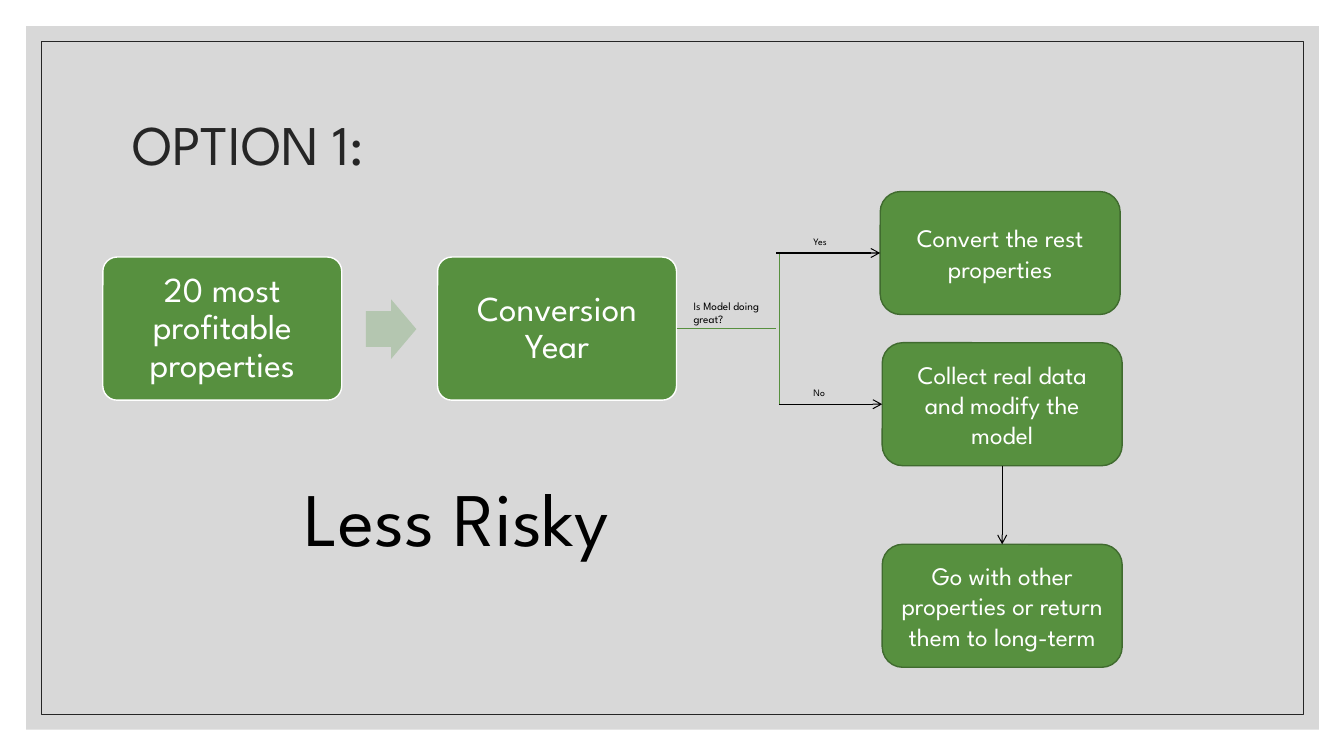
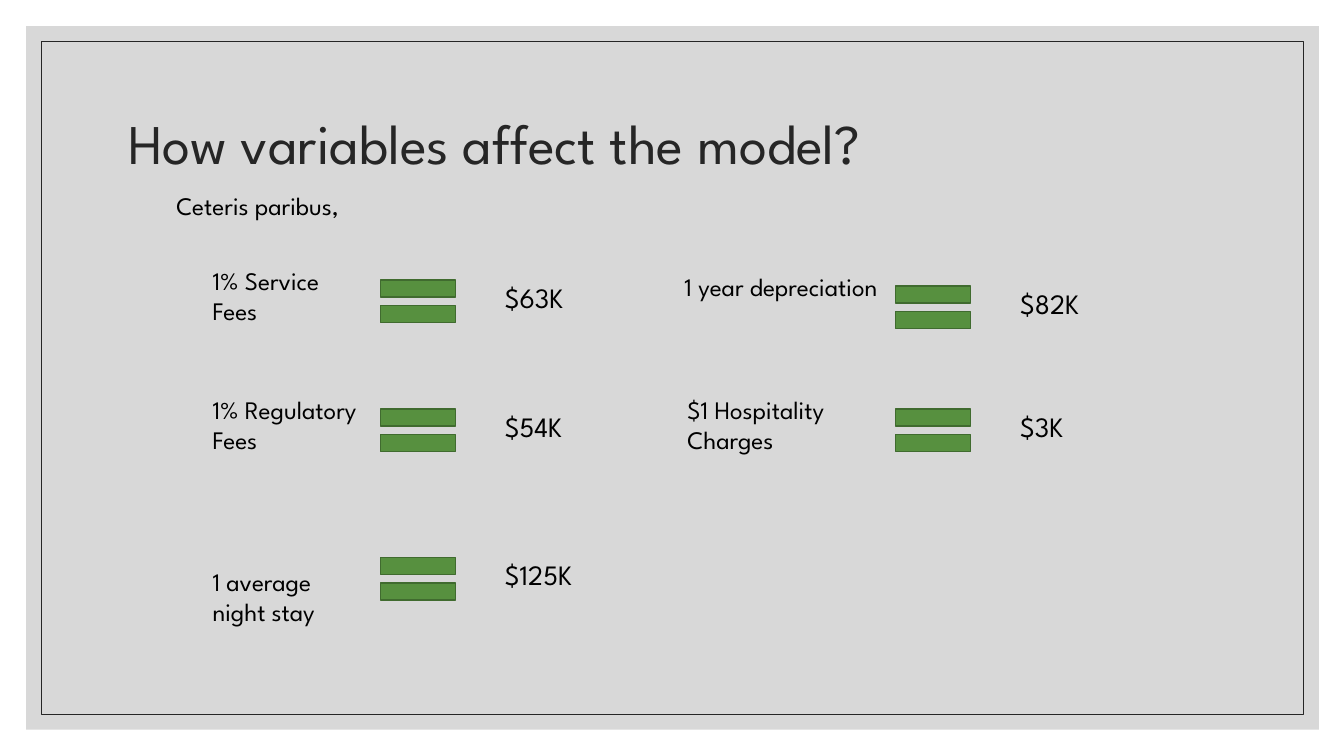
from lxml import etree
from pptx import Presentation
from pptx.dml.color import RGBColor
from pptx.enum.shapes import MSO_CONNECTOR, MSO_SHAPE
from pptx.enum.text import MSO_ANCHOR, MSO_AUTO_SIZE, PP_ALIGN
from pptx.oxml.ns import qn
from pptx.util import Inches, Pt

RECT, ROUNDED = MSO_SHAPE.RECTANGLE, MSO_SHAPE.ROUNDED_RECTANGLE
ARROW, EQUALS = MSO_SHAPE.RIGHT_ARROW, MSO_SHAPE.MATH_EQUAL
LEFT, CENTER = PP_ALIGN.LEFT, PP_ALIGN.CENTER
TOP, MIDDLE = MSO_ANCHOR.TOP, MSO_ANCHOR.MIDDLE
SIDE_LEFT, SIDE_TOP, SIDE_RIGHT, SIDE_BOTTOM = 1, 0, 3, 2

FONT = "League Spartan"
COLORS = {
    "panel": "BFBFBF", "ink": "262626", "green": "57903F", "dark_green": "406B2F",
    "pale_green": "B4C6B0", "white": "FFFFFF", "black": "000000",
}

OPTION_TITLE = "OPTION 1:"
STEPS = ["20 most profitable properties", "Conversion Year"]
OUTCOMES = [  # text, left, top
    ("Convert the rest properties", 8.73, 1.9),
    ("Collect real data and modify the model", 8.75, 3.4),
    ("Go with other properties or return them to long-term", 8.75, 5.4),
]
QUESTION = "Is Model doing great?"
ANSWERS = [("Yes", 2.29), ("No", 3.79)]
VERDICT = "Less Risky"

VARIABLES_TITLE = "How variables affect the model?"
CONDITION = "Ceteris paribus,"
EFFECTS = [  # variable, label (left, top, width), equals sign (left, top), effect
    ("1% Service Fees", (2.01, 2.58, 1.72), (3.64, 2.63), "$63K"),
    ("1% Regulatory Fees", (2.01, 3.86, 1.72), (3.64, 3.91), "$54K"),
    ("1 average night stay", (2.01, 5.57, 1.72), (3.64, 5.38), "$125K"),
    ("1 year depreciation", (6.69, 2.64, 2.15), (8.75, 2.69), "$82K"),
    ("$1 Hospitality Charges", (6.72, 3.86, 1.72), (8.75, 3.91), "$3K"),
]


def rgb(name):
    return RGBColor.from_string(COLORS[name])


def write(shape, text, size, color="black", align=LEFT, anchor=TOP, spacing=None,
          wrap=True, inset=None):
    frame = shape.text_frame
    frame.word_wrap = wrap
    frame.auto_size = MSO_AUTO_SIZE.NONE
    frame.vertical_anchor = anchor
    if inset is not None:
        frame.margin_left = frame.margin_right = Inches(inset)
        frame.margin_top = frame.margin_bottom = Inches(inset)
    paragraph = frame.paragraphs[0]
    paragraph.alignment = align
    paragraph.line_spacing = spacing
    run = paragraph.add_run()
    run.text = text
    run.font.name = FONT
    run.font.size = Pt(size)
    run.font.color.rgb = rgb(color)


def add_label(slide, box, text, size, **style):
    label = slide.shapes.add_textbox(*map(Inches, box))
    write(label, text, size, **style)


def add_block(slide, kind, box, fill="green", line="dark_green", line_width=1):
    block = slide.shapes.add_shape(kind, *map(Inches, box))
    block.shadow.inherit = False
    if fill:
        block.fill.solid()
        block.fill.fore_color.rgb = rgb(fill)
    else:
        block.fill.background()
    if line:
        block.line.color.rgb = rgb(line)
        block.line.width = Pt(line_width)
    else:
        block.line.fill.background()
    return block


def add_line(slide, start, end, color="black", width=0.75, arrow=False,
             source=None, target=None):
    """Draw a line; source and target are (shape, side) pairs to join."""
    line = slide.shapes.add_connector(MSO_CONNECTOR.STRAIGHT, *map(Inches, start + end))
    if source:
        line.begin_connect(*source)
    if target:
        line.end_connect(*target)
    line.line.color.rgb = rgb(color)
    line.line.width = Pt(width)
    properties = line.element.spPr
    if arrow:
        etree.SubElement(properties.find(qn("a:ln")), qn("a:tailEnd"), type="arrow")
    etree.SubElement(properties, qn("a:effectLst"))


def move_frame_to_layout(slide):
    """Put the grey panel and its inner border on the layout all slides share."""
    panel = add_block(slide, RECT, (0.26, 0.26, 12.82, 6.98), "panel", None)
    color = panel.element.spPr.find(qn("a:solidFill")).find(qn("a:srgbClr"))
    etree.SubElement(color, qn("a:alpha"), val="60000")
    border = add_block(slide, RECT, (0.41, 0.41, 12.52, 6.68), None, "ink", 0.5)
    tree = slide.slide_layout.shapes.element
    for index, part in enumerate((panel, border), 2):
        tree.insert(index, part.element)


def add_titled_slide(deck, text, left, top):
    slide = deck.slides.add_slide(deck.slide_layouts[5])
    title = slide.shapes.title
    title.left, title.top = Inches(left), Inches(top)
    title.width, title.height = Inches(11), Inches(1.5)
    write(title, text, 40, color="ink", anchor=MIDDLE, spacing=0.9)
    return slide


def build_option(slide):
    steps = []
    for index, text in enumerate(STEPS):
        step = add_block(slide, ROUNDED, (1.02 + 3.32 * index, 2.55, 2.37, 1.42),
                         line="white")
        step.adjustments[0] = 0.1
        write(step, text, 25, color="white", align=CENTER, anchor=MIDDLE,
              spacing=0.9, inset=0.1)
        steps.append(step)
    arrow = add_block(slide, ARROW, (3.63, 2.97, 0.5, 0.59), "pale_green", None)
    arrow.adjustments[0] = 0.6

    outcomes = []
    for text, left, top in OUTCOMES:
        outcome = add_block(slide, ROUNDED, (left, top, 2.38, 1.22))
        write(outcome, text, 18, color="white", align=CENTER, anchor=MIDDLE)
        outcomes.append(outcome)
    convert, collect, fallback = outcomes

    branch = {"color": "green", "width": 0.5}
    add_line(slide, (6.71, 3.26), (7.7, 3.26), source=(steps[-1], SIDE_RIGHT), **branch)
    for end in (2.51, 4.01):
        add_line(slide, (7.73, 3.26), (7.73, end), **branch)
    add_line(slide, (7.7, 2.51), (8.73, 2.51), arrow=True, target=(convert, SIDE_LEFT))
    add_line(slide, (7.73, 4.01), (8.75, 4.01), arrow=True, target=(collect, SIDE_LEFT))
    add_line(slide, (9.94, 4.62), (9.94, 5.4), arrow=True,
             source=(collect, SIDE_BOTTOM), target=(fallback, SIDE_TOP))

    add_label(slide, (6.78, 2.92, 0.99, 0.37), QUESTION, 8)
    for text, top in ANSWERS:
        add_label(slide, (7.97, top, 0.84, 0.22), text, 7)
    add_label(slide, (2.76, 4.62, 3.54, 1.01), VERDICT, 54, align=CENTER, wrap=False)


def build_variables(slide):
    for variable, (left, top, width), (sign_left, sign_top), effect in EFFECTS:
        add_block(slide, EQUALS, (sign_left, sign_top, 1.01, 0.72))
        add_label(slide, (left, top, width, 0.71), variable, 18)
        add_label(slide, (sign_left + 1.27, sign_top + 0.1, 1.54, 0.44), effect, 20)
    add_label(slide, (1.65, 1.84, 2.08, 0.4), CONDITION, 18)


def main():
    deck = Presentation()
    deck.slide_width, deck.slide_height = Inches(13.33), Inches(7.5)
    option = add_titled_slide(deck, OPTION_TITLE, 1.21, 0.71)
    move_frame_to_layout(option)
    build_option(option)
    build_variables(add_titled_slide(deck, VARIABLES_TITLE, 1.17, 0.7))
    deck.save("out.pptx")


if __name__ == "__main__":
    main()
